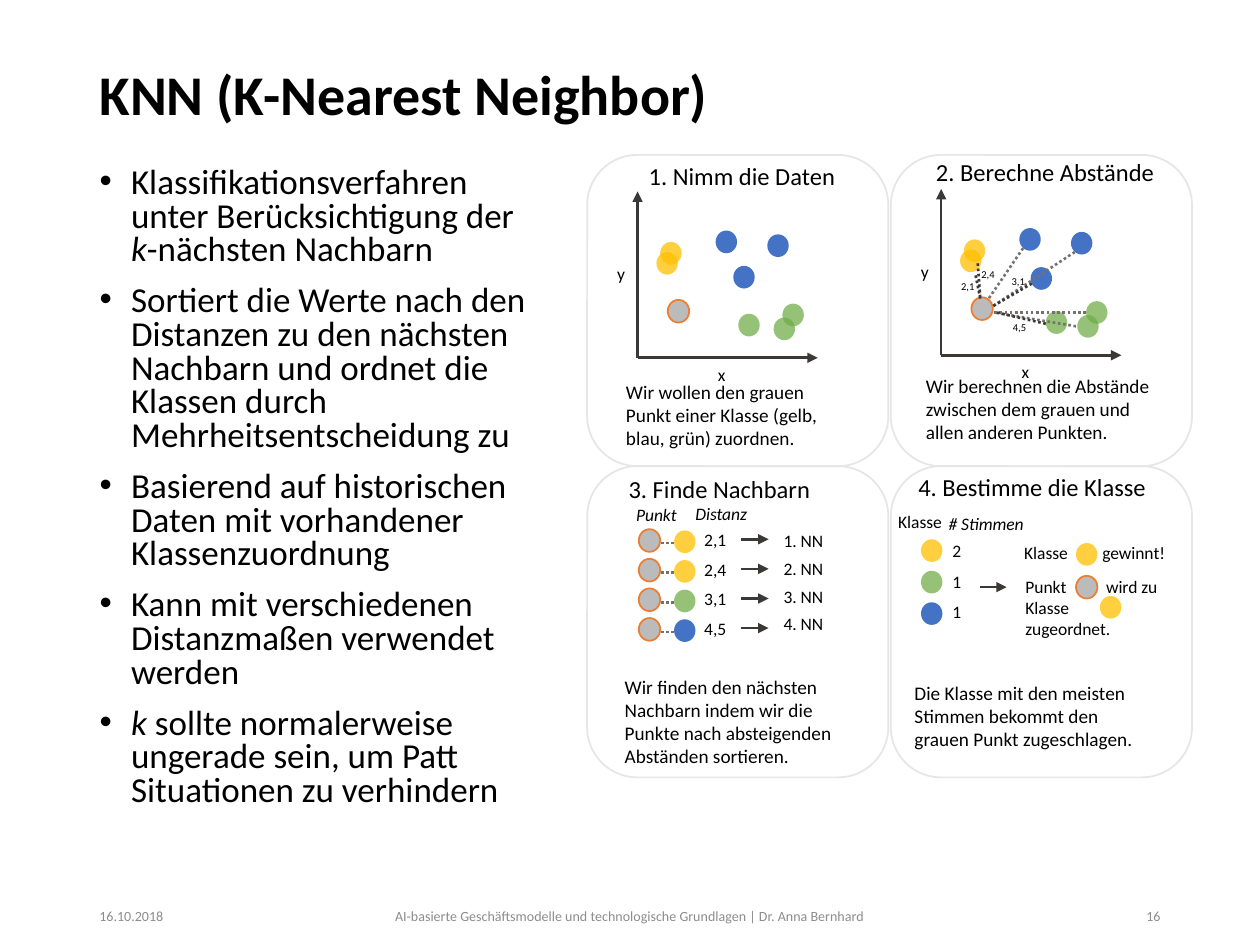
from dataclasses import dataclass

from lxml import etree
from pptx import Presentation
from pptx import util as u
from pptx.dml.color import RGBColor
from pptx.enum import dml, shapes, text
from pptx.oxml.ns import qn


@dataclass(frozen=True)
class Theme:
    font: str = "Calibri"
    ink: str = "000000"
    muted: str = "8C8C8C"
    frame: str = "E7E6E6"
    dark: str = "3B3838"
    soft: str = "767171"
    ring: str = "ED7D31"
    gray: tuple = ("A5A5A5", 75)
    yellow: tuple = ("FFC000", 75)
    blue: tuple = ("4472C4", 100)
    green: tuple = ("70AD47", 74)
    title: int = 32
    body: int = 20
    head: int = 14
    note: int = 11
    label: int = 10
    footer: int = 8
    tiny: int = 6


T = Theme()
W, H = 10, 7.5
MARGIN = 0.069 * W
CARD_W, CARD_H = 2.39, 2.47
CARD_X, CARD_Y, COL = 4.66, 1.23, 2.41
DOT_W, DOT_H = 0.17, 0.18

BULLETS = [
    [("Klassifikationsverfahren unter Berücksichtigung der ", False), ("k", True),
     ("-nächsten Nachbarn", False)],
    [("Sortiert die Werte nach den Distanzen zu den nächsten Nachbarn und ordnet "
      "die Klassen durch Mehrheitsentscheidung zu", False)],
    [("Basierend auf historischen Daten mit vorhandener Klassenzuordnung", False)],
    [("Kann mit verschiedenen Distanzmaßen verwendet werden", False)],
    [("k ", True), ("sollte normalerweise ungerade sein, um Patt Situationen zu "
                    "verhindern", False)],
]

# column, row, heading, heading offset, explanation, explanation offset
CARDS = [
    (0, 0, "1. Nimm die Daten", (0.39, 0),
     "Wir wollen den grauen Punkt einer Klasse (gelb, blau, grün) zuordnen.", (0.21, 1.74)),
    (1, 0, "2. Berechne Abstände", (0.26, -0.03),
     "Wir berechnen die Abstände zwischen dem grauen und allen anderen Punkten.", (0.18, 1.69)),
    (0, 1, "3. Finde Nachbarn", (0.23, 0.01),
     "Wir finden den nächsten Nachbarn indem wir die Punkte nach absteigenden "
     "Abständen sortieren.", (0.2, 1.61)),
    (1, 1, "4. Bestimme die Klasse", (0.12, 0),
     "Die Klasse mit den meisten Stimmen bekommt den grauen Punkt zugeschlagen.", (0.09, 1.66)),
]


def card_origin(col, row):
    return CARD_X + col * COL, CARD_Y + row * CARD_H


def add_run(p, content, size, color=T.ink, bold=False, italic=False):
    r = p.add_run()
    r.text = content
    f = r.font
    f.name, f.size, f.bold, f.italic = T.font, u.Pt(size), bold, italic
    f.color.rgb = RGBColor.from_string(color)


def add_text(s, content, x, y, w, h=0.27, size=T.label, wrap=False, tab=None,
             align=text.PP_ALIGN.LEFT, anchor=text.MSO_ANCHOR.TOP, **style):
    """Add a one-paragraph text box; tab is the position of its tab stop."""
    tf = s.shapes.add_textbox(*map(u.Inches, (x, y, w, h))).text_frame
    tf.word_wrap, tf.vertical_anchor = wrap, anchor
    p = tf.paragraphs[0]
    p.alignment = align
    add_run(p, content, size, **style)
    if tab:
        stops = etree.SubElement(p._p.get_or_add_pPr(), qn("a:tabLst"))
        etree.SubElement(stops, qn("a:tab"), pos=str(u.Inches(tab)), algn="l")


def add_shape(s, kind, x, y, w, h, fill=None, line=None):
    sp = s.shapes.add_shape(kind, *map(u.Inches, (x, y, w, h)))
    sp.shadow.inherit = False
    if fill:
        color, opacity = fill
        sp.fill.solid()
        sp.fill.fore_color.rgb = RGBColor.from_string(color)
        if opacity < 100:
            clr = sp._element.spPr.find(qn("a:solidFill"))[0]
            etree.SubElement(clr, qn("a:alpha"), val=str(opacity * 1000))
    else:
        sp.fill.background()
    if line:
        sp.line.color.rgb = RGBColor.from_string(line)
        sp.line.width = u.Pt(1)
    else:
        sp.line.fill.background()


def add_dot(s, x, y, fill):
    add_shape(s, shapes.MSO_SHAPE.OVAL, x, y, DOT_W, DOT_H, fill,
              T.ring if fill == T.gray else None)


def add_line(s, x1, y1, x2, y2, color=T.dark, arrow=False):
    """Draw an arrow, or a dotted line when arrow is False."""
    ln = s.shapes.add_connector(shapes.MSO_CONNECTOR.STRAIGHT,
                                *map(u.Inches, (x1, y1, x2, y2)))
    ln.line.color.rgb = RGBColor.from_string(color)
    ln.line.width = u.Pt(1.5)
    if arrow:
        etree.SubElement(ln.line._get_or_add_ln(), qn("a:tailEnd"), type="triangle")
    else:
        ln.line.dash_style = dml.MSO_LINE.ROUND_DOT
    etree.SubElement(ln._element.spPr, qn("a:effectLst"))


def add_scatter(s, x, y, blue, green):
    """Draw axes from the origin x, y; blue and green place one point of each class."""
    add_line(s, x, y, x, y - 1.32, arrow=True)
    add_line(s, x, y, x + 1.43, y, arrow=True)
    points = [(T.gray, [(0.24, 0.46)]),
              (T.yellow, [(0.15, 0.84), (0.18, 0.92)]),
              (T.blue, [blue, (0.62, 1.01), (1.03, 0.98)]),
              (T.green, [green, (1.08, 0.32), (1.15, 0.43)])]
    for fill, places in points:
        for dx, dy in places:
            add_dot(s, x + dx, y - dy, fill)
    add_text(s, "x", x + 0.54, y, 0.26)
    add_text(s, "y", x - 0.26, y - 0.8, 0.26)


def add_distances(s):
    for line in [(7.78, 2.37, 7.74, 2.17), (7.76, 2.09, 7.78, 2.37)]:
        add_line(s, *line)
    for value, x, y, w in [("2,1", 7.53, 2.17, 0.38), ("2,4", 7.69, 2.08, 0.33),
                           ("3,1", 7.93, 2.13, 0.38), ("4,5", 7.94, 2.5, 0.38)]:
        add_text(s, value, x, y, w, 0.2, T.tiny, wrap=True)
    for line in [(8.12, 1.97, 7.84, 2.38), (8.53, 2, 7.88, 2.43),
                 (8.62, 2.48, 7.89, 2.48), (8.54, 2.59, 7.89, 2.48)]:
        add_line(s, *line, color=T.soft)
    for line in [(8.3, 2.57, 7.91, 2.48), (8.19, 2.25, 7.88, 2.43)]:
        add_line(s, *line)


def add_neighbors(s, x, y):
    add_text(s, "Punkt", x + 0.29, y + 0.25, 0.53, italic=True)
    add_text(s, "Distanz", x + 0.76, y + 0.24, 0.62, italic=True)
    rows = [("2,1", T.yellow), ("2,4", T.yellow), ("3,1", T.green), ("4,5", T.blue)]
    for i, (distance, fill) in enumerate(rows):
        top = y + 0.5 + 0.235 * i
        add_dot(s, x + 0.41, top, T.gray)
        add_dot(s, x + 0.69, top + 0.01, fill)
        add_line(s, x + 0.69, top + 0.11, x + 0.58, top + 0.11, T.soft)
        add_text(s, distance, x + 0.83, top - 0.05, 0.38)
        add_line(s, x + 1.22, top + 0.08, x + 1.44, top + 0.08, arrow=True)
        add_text(s, f"{i + 1}. NN", x + 1.46, y + 0.46 + 0.22 * i, 0.52)


def add_vote(s, x, y):
    add_text(s, "Klasse", x - 0.04, y + 0.31, 0.55)
    add_text(s, "# Stimmen", x + 0.36, y + 0.32, 0.81, italic=True)
    for i, (votes, fill) in enumerate([("2", T.yellow), ("1", T.green), ("1", T.blue)]):
        add_dot(s, x + 0.24, y + 0.58 + 0.25 * i, fill)
        add_text(s, votes, x + 0.39, y + 0.54 + 0.24 * i, 0.27)
    add_line(s, x + 0.71, y + 0.96, x + 0.92, y + 0.96, arrow=True)
    add_text(s, "Klasse\tgewinnt!", x + 0.96, y + 0.55, 1.34, tab=0.62)
    add_text(s, "Punkt\twird zu Klasse\tzugeordnet.", x + 0.97, y + 0.82, 1.3, 0.61,
             wrap=True, tab=0.64)
    for dx, dy, fill in [(1.47, 0.87, T.gray), (1.47, 0.61, T.yellow), (1.66, 1.03, T.yellow)]:
        add_dot(s, x + dx, y + dy, fill)


def place(ph, x, y, w, h):
    ph.left, ph.top, ph.width, ph.height = map(u.Inches, (x, y, w, h))
    ph.text_frame.auto_size = text.MSO_AUTO_SIZE.NONE
    return ph.text_frame


def fill_placeholders(s):
    tf = place(s.shapes.title, MARGIN, 0.4, W - 2 * MARGIN, 0.74)
    tf.vertical_anchor = text.MSO_ANCHOR.MIDDLE
    p = tf.paragraphs[0]
    p.alignment, p.line_spacing = text.PP_ALIGN.LEFT, 0.9
    add_run(p, "KNN (K-Nearest Neighbor)", T.title, bold=True)

    tf = place(s.placeholders[1], MARGIN, 1.28, 3.68, 5.47)
    for i, runs in enumerate(BULLETS):
        p = tf.add_paragraph() if i else tf.paragraphs[0]
        p.line_spacing, p.space_before = 0.8, u.Pt(10)
        pPr = p._p.get_or_add_pPr()
        pPr.set("marL", str(u.Inches(0.25)))
        pPr.set("indent", str(-u.Inches(0.25)))
        for content, italic in runs:
            add_run(p, content, T.body, italic=italic)


def add_footer(s):
    al = text.PP_ALIGN
    for content, x, w, align in [
            ("16.10.2018", MARGIN, 1.07, al.LEFT),
            ("AI-basierte Geschäftsmodelle und technologische Grundlagen | "
             "Dr. Anna Bernhard", 2.17, 5.66, al.CENTER),
            ("16", 8.34, 0.97, al.RIGHT)]:
        add_text(s, content, x, 7.19, w, 0.16, T.footer, wrap=True, align=align,
                 anchor=text.MSO_ANCHOR.MIDDLE, color=T.muted)


def main():
    prs = Presentation()
    prs.slide_width, prs.slide_height = u.Inches(W), u.Inches(H)
    s = prs.slides.add_slide(prs.slide_layouts[1])
    fill_placeholders(s)
    for col, row, *_ in CARDS:
        add_shape(s, shapes.MSO_SHAPE.ROUNDED_RECTANGLE, *card_origin(col, row),
                  CARD_W, CARD_H, line=T.frame)
    add_scatter(s, 5.06, 2.84, blue=(0.76, 0.73), green=(0.8, 0.35))
    add_scatter(s, 7.47, 2.82, blue=(0.71, 0.7), green=(0.83, 0.35))
    add_distances(s)
    add_neighbors(s, *card_origin(0, 1))
    add_vote(s, *card_origin(1, 1))
    for col, row, head, (hx, hy), note, (nx, ny) in CARDS:
        x, y = card_origin(col, row)
        add_text(s, note, x + nx, y + ny, 2, 0.66, T.note, wrap=True)
        add_text(s, head, x + hx, y + hy, 2.13, 0.34, T.head, wrap=True)
    add_footer(s)
    prs.save("out.pptx")


if __name__ == "__main__":
    main()
